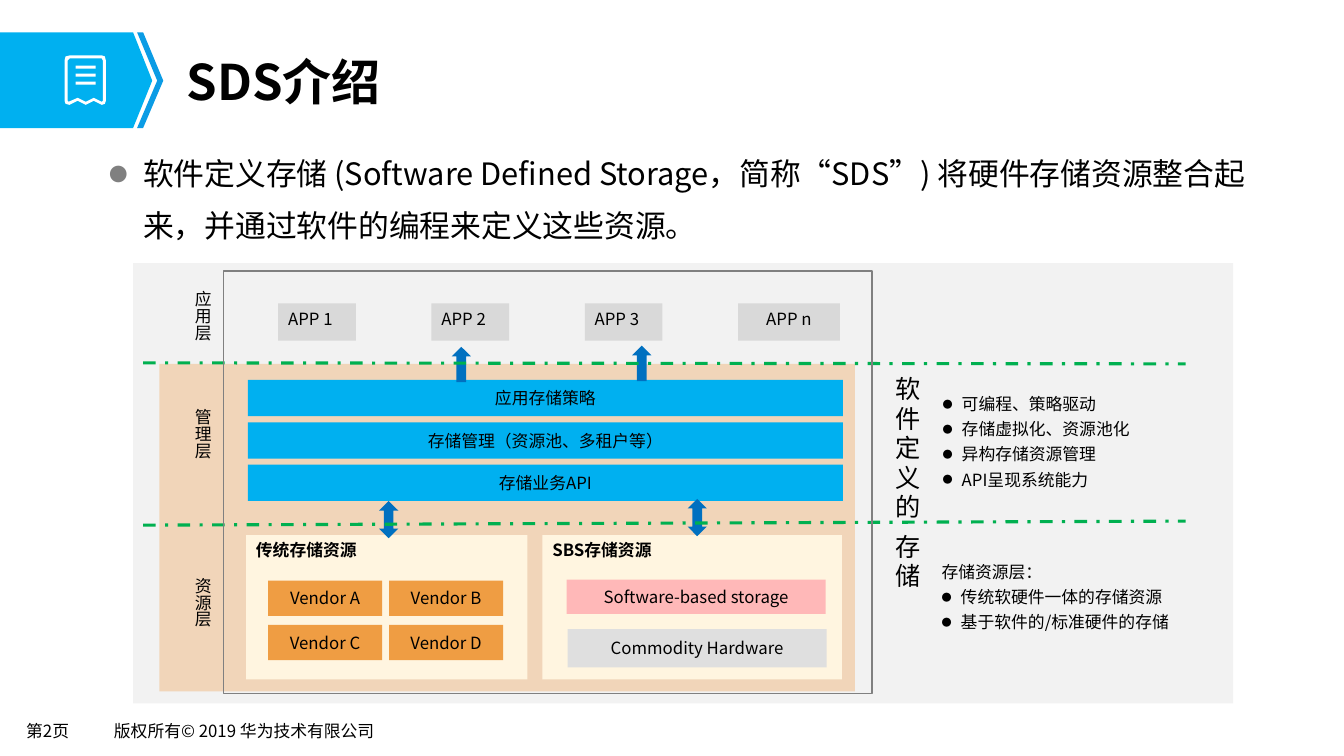
import pptx
import pptx.dml.color
import pptx.enum.dml
import pptx.enum.shapes
import pptx.enum.text
import pptx.oxml.ns
import pptx.util
from lxml import etree

Inches = pptx.util.Inches
Color = pptx.dml.color.RGBColor
Shape = pptx.enum.shapes.MSO_SHAPE
Align = pptx.enum.text.PP_ALIGN
Anchor = pptx.enum.text.MSO_ANCHOR
qn = pptx.oxml.ns.qn

FONT = "Noto Sans CJK SC"
BLACK = Color(0x00, 0x00, 0x00)
WHITE = Color(0xFF, 0xFF, 0xFF)
GRAY = Color(0x80, 0x80, 0x80)
SKY = Color(0x00, 0xB0, 0xF0)
DEEP_SKY = Color(0x0B, 0x9C, 0xE5)
ARROW_BLUE = Color(0x00, 0x70, 0xC0)
GREEN = Color(0x00, 0xB0, 0x50)
PANEL = Color(0xF2, 0xF2, 0xF2)
SAND = Color(0xF1, 0xD5, 0xB9)
CREAM = Color(0xFF, 0xF5, 0xE0)
APP_GRAY = Color(0xD9, 0xD9, 0xD9)
ORANGE = Color(0xEF, 0x9D, 0x43)
PINK = Color(0xFF, 0xB8, 0xB8)
SILVER = Color(0xDF, 0xDF, 0xDF)


def inside(box, left, top, width, height):
    """Return a box given relative to the corner of another."""
    return box[0] + left, box[1] + top, width, height


def format_text(frame, size, bold=False, align=Align.LEFT):
    """Give every run of a text frame its font and every paragraph its alignment."""
    for para in frame.paragraphs:
        para.alignment = align
        for span in para.runs:
            span.font.size = pptx.util.Pt(size)
            span.font.bold = bold
            span.font.name = FONT
            span.font.color.rgb = BLACK
            etree.SubElement(span.font._element, qn("a:ea"), typeface=FONT)


def set_margins(frame, side, edge):
    """Set the horizontal and vertical insets of a text frame."""
    frame.margin_left = frame.margin_right = Inches(side)
    frame.margin_top = frame.margin_bottom = Inches(edge)


def add_text(page, box, text, size, wrap=True, anchor=Anchor.TOP, insets=(0.1, 0.05)):
    """Add a text box and return its frame."""
    frame = page.shapes.add_textbox(*map(Inches, box)).text_frame
    frame.word_wrap = wrap
    frame.vertical_anchor = anchor
    set_margins(frame, *insets)
    frame.text = text
    format_text(frame, size)
    return frame


def add_vertical_text(page, box, text, size, spacing=0):
    """Add a label that reads from top to bottom."""
    frame = add_text(page, box, text, size, anchor=Anchor.MIDDLE)
    frame._element.find(qn("a:bodyPr")).set("vert", "eaVert")
    if spacing:
        frame.paragraphs[0].runs[0].font._element.set("spc", str(spacing * 100))


def add_bullet(para, indent, color="000000"):
    """Give a paragraph a hanging round bullet."""
    properties = para._p.get_or_add_pPr()
    properties.set("marL", str(Inches(indent)))
    properties.set("indent", str(-Inches(indent)))
    bullet_color = etree.SubElement(properties, qn("a:buClr"))
    etree.SubElement(bullet_color, qn("a:srgbClr"), val=color)
    etree.SubElement(properties, qn("a:buSzPct"), val="60000")
    etree.SubElement(properties, qn("a:buFont"), typeface=FONT)
    etree.SubElement(properties, qn("a:buChar"), char="●")


def paint(shape, fill):
    """Fill a shape plainly, without line or shadow."""
    shape.shadow.inherit = False
    shape.fill.solid()
    shape.fill.fore_color.rgb = fill
    shape.line.fill.background()


def add_block(page, box, fill, text="", kind=Shape.RECTANGLE, bold=False,
              align=Align.CENTER, anchor=Anchor.MIDDLE):
    """Add a filled shape with an optional label."""
    shape = page.shapes.add_shape(kind, *map(Inches, box))
    paint(shape, fill)
    if text:
        frame = shape.text_frame
        frame.vertical_anchor = anchor
        frame.text = text
        format_text(frame, 12, bold, align)


def add_outline(page, box, fill, *contours):
    """Add a filled freeform made of closed contours relative to a box."""
    builder = None
    for contour in contours:
        points = [(Inches(box[0] + x), Inches(box[1] + y)) for x, y in contour]
        if builder is None:
            builder = page.shapes.build_freeform(*points[0])
        else:
            builder.move_to(*points[0])
        builder.add_line_segments(points[1:], close=True)
    paint(builder.convert_to_shape(), fill)


def add_divider(page, box, start, end):
    """Draw a dash-dot line between two layers."""
    line = page.shapes.add_connector(
        pptx.enum.shapes.MSO_CONNECTOR.STRAIGHT,
        *(Inches(box[i] + point[i]) for point in (start, end) for i in (0, 1)))
    line.line.color.rgb = GREEN
    line.line.width = pptx.util.Pt(2.25)
    line.line.dash_style = pptx.enum.dml.MSO_LINE.DASH_DOT
    etree.SubElement(line._element.spPr, qn("a:effectLst"))


def add_header(page, box):
    """Place the pointed banner, its receipt icon and the title."""
    add_outline(page, box, SKY, [(0, 0), (1.32, 0), (1.51, 0.48), (1.32, 0.95), (0, 0.95)])
    add_outline(page, box, DEEP_SKY, [(1.36, 0), (1.42, 0), (1.62, 0.48),
                                      (1.42, 0.95), (1.36, 0.95), (1.56, 0.48)])
    receipt = inside(box, 0.64, 0.23, 0.41, 0.49)
    add_outline(
        page, receipt, WHITE,
        [(0.05, 0), (0.37, 0), (0.4, 0.01), (0.41, 0.05), (0.41, 0.45), (0.4, 0.48),
         (0.37, 0.49), (0.29, 0.45), (0.21, 0.49), (0.13, 0.45), (0.05, 0.49),
         (0.01, 0.48), (0, 0.45), (0, 0.05), (0.01, 0.01)],
        [(0.05, 0.03), (0.03, 0.05), (0.03, 0.45), (0.04, 0.46), (0.13, 0.42),
         (0.21, 0.46), (0.29, 0.42), (0.37, 0.46), (0.38, 0.45), (0.38, 0.05),
         (0.37, 0.03)])
    add_outline(page, receipt, WHITE, *(
        [(0.11, y), (0.31, y), (0.31, y + 0.03), (0.11, y + 0.03)] for y in (0.1, 0.18, 0.26)))
    title = page.shapes.title
    title.left, title.top, title.width, title.height = map(
        Inches, inside(box, 1.74, 0.13, 10.75, 0.7))
    frame = title.text_frame
    frame.text = "SDS介绍"
    frame.vertical_anchor = Anchor.MIDDLE
    set_margins(frame, 0.11, 0.06)
    format_text(frame, 35, bold=True)


def add_intro(page, box):
    """Place the definition paragraph."""
    text = ("软件定义存储 (Software Defined Storage，简称“SDS”) "
            "将硬件存储资源整合起来，并通过软件的编程来定义这些资源。")
    para = add_text(page, box, text, 22, insets=(0.09, 0.04)).paragraphs[0]
    add_bullet(para, 0.33, "808080")
    para.line_spacing = 1.4


def add_notes_list(page, box, items, heading=""):
    """Place a bulleted list under an optional heading."""
    lines = [heading, *items] if heading else items
    frame = add_text(page, box, "\n".join(lines), 12, anchor=Anchor.MIDDLE)
    for para in frame.paragraphs:
        if para.text != heading:
            add_bullet(para, 0.19)
        para.line_spacing = 1.25


def add_architecture(page, box):
    """Place the layered storage diagram."""
    add_block(page, box, PANEL)
    add_block(page, inside(box, 0.26, 1, 6.9, 3.25), SAND)
    for left, width, label in ((1.12, 2.79, "传统存储资源"), (4.06, 2.97, "SBS存储资源")):
        add_block(page, inside(box, left, 2.7, width, 1.43), CREAM, label,
                  bold=True, align=Align.LEFT, anchor=Anchor.TOP)
    for row, label in enumerate(("应用存储策略", "存储管理（资源池、多租户等）", "存储业务API")):
        add_block(page, inside(box, 1.14, 1.16 + 0.42 * row, 5.9, 0.36), SKY, label)
    for column, name in enumerate("123n"):
        last = name == "n"
        add_block(page, inside(box, 1.44 + 1.52 * column, 0.4, 1.01 if last else 0.77, 0.37),
                  APP_GRAY, f"APP {name}", anchor=Anchor.TOP,
                  align=Align.CENTER if last else Align.LEFT)
    for index, name in enumerate("ABCD"):
        row, column = divmod(index, 2)
        add_block(page, inside(box, 1.34 + 1.2 * column, 3.15 + 0.44 * row, 1.13, 0.35),
                  ORANGE, f"Vendor {name}")
    add_block(page, inside(box, 4.3, 3.14, 2.57, 0.34), PINK, "Software-based storage")
    add_block(page, inside(box, 4.31, 3.63, 2.57, 0.38), SILVER, "Commodity Hardware")
    for left, top, height, kind in ((2.44, 2.36, 0.37, Shape.UP_DOWN_ARROW),
                                    (5.5, 2.34, 0.37, Shape.UP_DOWN_ARROW),
                                    (3.16, 0.83, 0.35, Shape.UP_ARROW),
                                    (4.95, 0.82, 0.35, Shape.UP_ARROW)):
        add_block(page, inside(box, left, top, 0.19, height), ARROW_BLUE, kind=kind)
    add_divider(page, box, (0.1, 0.99), (10.44, 1))
    add_divider(page, box, (0.1, 2.6), (10.44, 2.56))
    for top, label in ((0.18, "应用层"), (1.35, "管理层"), (3.02, "资源层")):
        add_vertical_text(page, inside(box, 0.49, top, 0.4, 0.79), label, 12)
    add_vertical_text(page, inside(box, 7.43, 1.03, 0.5, 2.84), "软件定义的 存储", 18, 3)
    add_notes_list(page, inside(box, 7.93, 1.19, 2.32, 1.11),
                   ["可编程、策略驱动", "存储虚拟化、资源池化", "异构存储资源管理", "API呈现系统能力"])
    add_notes_list(page, inside(box, 7.92, 2.86, 2.81, 0.85),
                   ["传统软硬件一体的存储资源", "基于软件的/标准硬件的存储"], "存储资源层：")
    border = page.shapes.add_shape(
        Shape.RECTANGLE, *map(Inches, inside(box, 0.9, 0.08, 6.43, 4.19)))
    border.shadow.inherit = False
    border.fill.background()
    border.line.color.rgb = GRAY
    border.line.width = pptx.util.Pt(1)


def add_footer(page, box):
    """Place the page number and the copyright line."""
    for left, width, text in ((0, 0.74, "第2页"), (0.87, 2.85, "版权所有© 2019 华为技术有限公司")):
        add_text(page, inside(box, left, 0, width, 0.29), text, 12, False, insets=(0.09, 0.04))


def main():
    """Build the slide and save it."""
    deck = pptx.Presentation()
    deck.slide_width, deck.slide_height = Inches(13.33), Inches(7.5)
    page = deck.slides.add_slide(deck.slide_layouts[5])
    add_header(page, (0, 0.32, 13.33, 0.95))
    add_intro(page, (1, 1.35, 11.55, 1.2))
    add_architecture(page, (1.32, 2.61, 10.91, 4.37))
    add_footer(page, (0.17, 7.11, 3.72, 0.29))
    deck.save("out.pptx")


if __name__ == "__main__":
    main()
